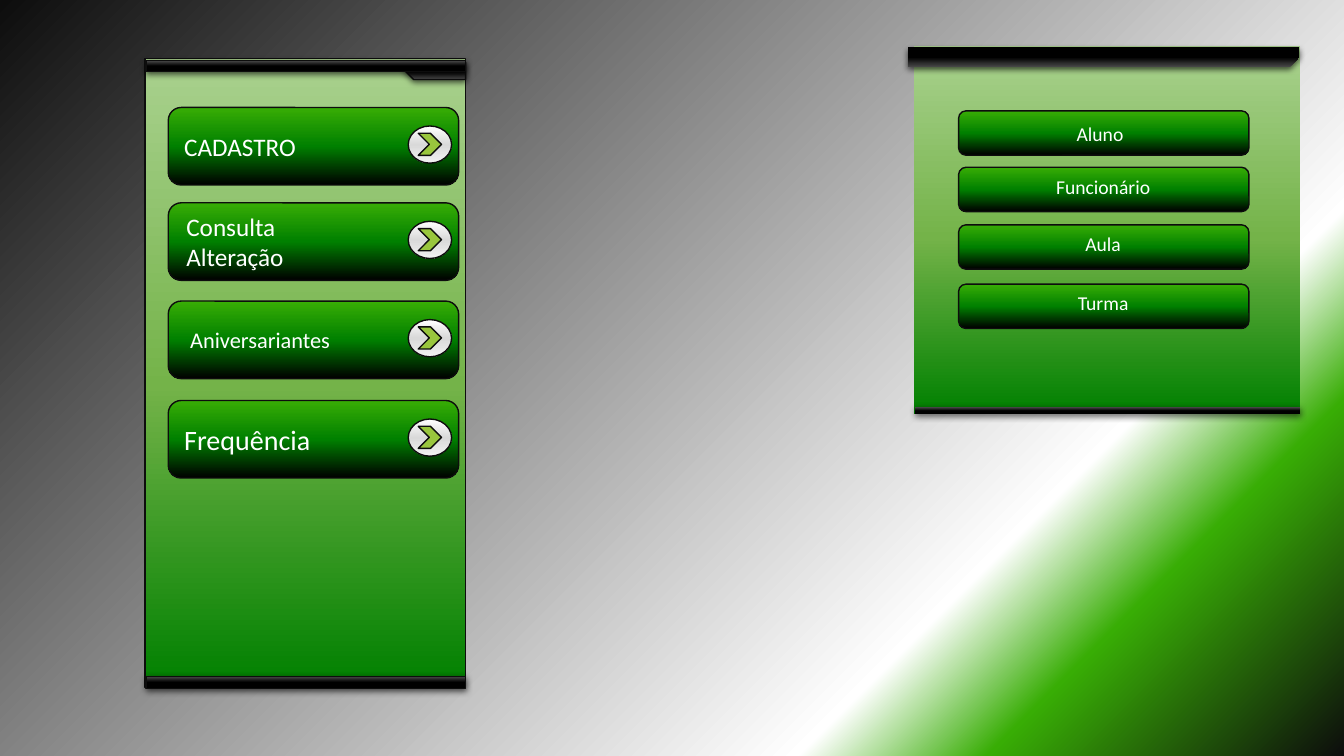
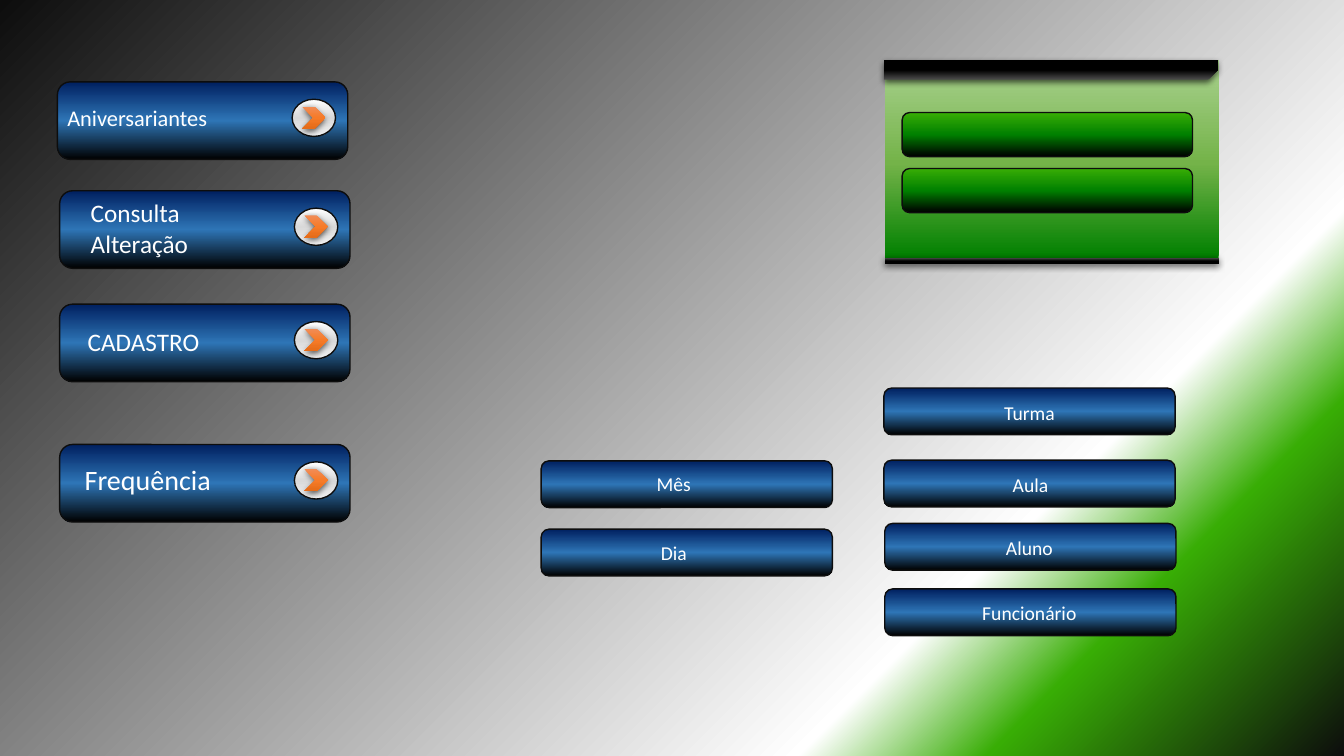
from dataclasses import dataclass

from lxml import etree
from pptx import Presentation
from pptx.dml.color import RGBColor
from pptx.enum import shapes as kinds
from pptx.enum import text as styles
from pptx.oxml import ns
from pptx.util import Pt

SHAPE = kinds.MSO_SHAPE
FONT = "Calibri"
WHITE = RGBColor(0xFF, 0xFF, 0xFF)
BLACK = RGBColor(0x00, 0x00, 0x00)
INK = RGBColor(0x0D, 0x0D, 0x0D)
CHARCOAL = RGBColor(0x4B, 0x4B, 0x4B)
SILVER = RGBColor(0xD9, 0xD9, 0xD9)
PEARL = RGBColor(0xF2, 0xF2, 0xF2)
GREEN = RGBColor(0x00, 0x80, 0x00)
BRIGHT_GREEN = RGBColor(0x38, 0xAD, 0x05)
LEAF = RGBColor(0x74, 0xB3, 0x49)
PALE_GREEN = RGBColor(0xA9, 0xD1, 0x8E)
LIME = RGBColor(0x99, 0xC6, 0x3D)
NAVY = RGBColor(0x00, 0x20, 0x60)
BLUE = RGBColor(0x2E, 0x75, 0xB6)
PEACH = RGBColor(0xF1, 0x8C, 0x57)
ORANGE = RGBColor(0xF6, 0x7B, 0x28)
RUST = RGBColor(0xE5, 0x6C, 0x19)

BACKDROP = ((0, INK), (74, WHITE), (83, BRIGHT_GREEN), (100, INK))
PANEL = ((0, GREEN), (48, LEAF), (100, PALE_GREEN))
BAR = ((0, CHARCOAL), (50, BLACK), (100, BLACK))
BADGE = ((0, WHITE), (50, SILVER), (100, PEARL))


@dataclass
class Theme:
    face: tuple
    chevron: tuple
    flat_chevron: bool
    badge_x: float
    badge_y: float


GREEN_THEME = Theme(((0, BRIGHT_GREEN), (50, GREEN), (100, BLACK)),
                    ((0, LIME), (100, LIME)), True, 171.4, 13.2)
BLUE_THEME = Theme(((0, NAVY), (50, BLUE), (100, BLACK)),
                   ((0, PEACH), (50, ORANGE), (100, RUST)), False, 167.7, 12.4)


def set_gradient(fill, owner, stops, angle):
    fill.gradient()
    fill.gradient_angle = 360 - angle
    stop_list = owner.find(".//" + ns.qn("a:gsLst"))
    for old_stop in list(stop_list):
        stop_list.remove(old_stop)
    for position, color in stops:
        stop = etree.SubElement(stop_list, ns.qn("a:gs"), pos=str(position * 1000))
        etree.SubElement(stop, ns.qn("a:srgbClr"), val=str(color))


def add_shadow(box):
    effects = box.element.spPr.find(ns.qn("a:effectLst"))
    shadow = etree.SubElement(effects, ns.qn("a:outerShdw"), blurRad=str(Pt(4.5)),
                              dist=str(Pt(1.5)), dir="5400000", rotWithShape="0")
    color = etree.SubElement(shadow, ns.qn("a:srgbClr"), val=str(BLACK))
    etree.SubElement(color, ns.qn("a:alpha"), val="63000")


def add_box(shapes, kind, area, stops, angle=90, outlined=True, shadow=False):
    box = shapes.add_shape(kind, *map(Pt, area))
    box.shadow.inherit = False
    set_gradient(box.fill, box.element.spPr, stops, angle)
    if outlined:
        box.line.color.rgb = INK
        box.line.width = Pt(1)
    else:
        box.line.fill.background()
    if shadow:
        add_shadow(box)
    return box


def add_text(shapes, text, left, top, width, size=14, align=styles.PP_ALIGN.LEFT):
    lines = text.split("\n")
    height = len(lines) * size * 1.2 + 7.2
    box = shapes.add_textbox(Pt(left), Pt(top), Pt(width), Pt(height))
    frame = box.text_frame
    frame.word_wrap = True
    frame.auto_size = styles.MSO_AUTO_SIZE.SHAPE_TO_FIT_TEXT
    for index, line in enumerate(lines):
        para = frame.add_paragraph() if index else frame.paragraphs[0]
        para.alignment = align
        span = para.add_run()
        span.text = line
        span.font.name = FONT
        span.font.size = Pt(size)
        span.font.color.rgb = WHITE


def add_bar(shapes, area, outlined=False):
    return add_box(shapes, SHAPE.RECTANGLE, area, BAR, outlined=outlined, shadow=True)


def add_tab(shapes, area, flipped=True, outlined=False):
    tab = add_box(shapes, SHAPE.SNIP_1_RECTANGLE, area, BAR, outlined=outlined, shadow=True)
    tab.adjustments[0] = 0.5
    tab.rotation = 180
    if flipped:
        tab.element.spPr.find(ns.qn("a:xfrm")).set("flipH", "1")


def add_panel(shapes, area, cap, foot):
    add_box(shapes, SHAPE.RECTANGLE, area, PANEL, angle=270, outlined=False)
    add_tab(shapes, cap)
    add_bar(shapes, foot)


def add_menu_button(page, theme, text, left, top, text_x, text_y, size):
    shapes = page.shapes.add_group_shape().shapes
    add_box(shapes, SHAPE.ROUNDED_RECTANGLE, (left, top, 207.4, 55.4), theme.face)
    x, y = left + theme.badge_x, top + theme.badge_y
    add_box(shapes, SHAPE.FLOWCHART_CONNECTOR, (x, y, 31, 26.6), BADGE)
    arrow = add_box(shapes, SHAPE.CHEVRON, (x + 7.2, y + 5.2, 16.6, 15.8), theme.chevron,
                    outlined=theme.flat_chevron, shadow=not theme.flat_chevron)
    if theme.flat_chevron:
        arrow.fill.solid()
        arrow.fill.fore_color.rgb = theme.chevron[0][1]
    add_text(shapes, text, left + text_x, top + text_y, 176.4, size=size)


def add_option_button(page, theme, text, area, text_x, text_y):
    shapes = page.shapes.add_group_shape().shapes
    add_box(shapes, SHAPE.ROUNDED_RECTANGLE, area, theme.face)
    if text:
        add_text(shapes, text, area[0] + text_x, area[1] + text_y, 149,
                 align=styles.PP_ALIGN.CENTER)


def build_green_menu(page):
    add_box(page.shapes, SHAPE.RECTANGLE, (103.7, 41.8, 229, 449.3), PANEL, angle=270)
    add_tab(page.shapes, (289.4, 44.6, 43.2, 12.2), flipped=False, outlined=True)
    for top, height in ((483.1, 8.6), (43.2, 7.9)):
        add_bar(page.shapes, (104.4, top, 228.2, height), outlined=True)
    for text, top, text_x, text_y, size in (
            ("CADASTRO", 76.8, 4.3, 13.2, 18),
            ("Consulta\nAlteração", 144.9, 5.8, 2.2, 18),
            ("Aniversariantes", 215.1, 8.6, 14.4, 16),
            ("Frequência", 286.1, 4.3, 12.2, 20)):
        add_menu_button(page, GREEN_THEME, text, 120.2, top, text_x, text_y, size)

    add_panel(page.shapes, (653, 33.1, 275.8, 262.8), (648.7, 33.8, 279.4, 14.4),
              (653.8, 290.9, 275, 5))
    for text, top, text_x, text_y in (
            ("Aluno", 79.2, 26.6, 4.3), ("Funcionário", 119.5, 28.8, 2.2),
            ("Aula", 160.6, 28.8, 1.4), ("Turma", 203, 28.8, 1.4)):
        add_option_button(page, GREEN_THEME, text, (684.7, top, 207.4, 31.7), text_x, text_y)


def build_blue_menu(page):
    for text, left, top, text_x, text_y, size in (
            ("Aniversariantes", 41, 58.5, 0, 12.2, 16),
            ("Consulta\nAlteração", 42.6, 136.3, 15.1, 1.4, 18),
            ("CADASTRO", 42.6, 217.3, 13, 12.4, 18),
            ("Frequência", 42.6, 317.5, 10.8, 9.4, 20)):
        add_menu_button(page, BLUE_THEME, text, left, top, text_x, text_y, size)

    add_panel(page.shapes, (632.2, 43.2, 238.3, 141.1), (631.4, 43.2, 238.3, 13.7),
              (632.2, 184.3, 238.3, 4.3))
    for top in (80.4, 120.4):
        add_option_button(page, GREEN_THEME, "", (644.4, top, 207.4, 31.5), 0, 0)

    for text, left, top, text_x, text_y in (
            ("Turma", 631.4, 277.2, 29.5, 5.8), ("Aula", 631.4, 328.7, 30.2, 5.8),
            ("Aluno", 632, 373.9, 28.8, 5), ("Funcionário", 632, 420.7, 28.8, 5),
            ("Mês", 386.6, 329.2, 20.2, 4.3), ("Dia", 386.6, 378, 20.2, 5)):
        add_option_button(page, BLUE_THEME, text, (left, top, 208, 33.4), text_x, text_y)


def main():
    deck = Presentation()
    deck.slide_width, deck.slide_height = Pt(960), Pt(540)
    master = deck.slide_master
    set_gradient(master.background.fill, master.element, BACKDROP, 45)
    blank = deck.slide_layouts[6]
    for build in (build_green_menu, build_blue_menu):
        build(deck.slides.add_slide(blank))
    deck.save("out.pptx")


if __name__ == "__main__":
    main()
